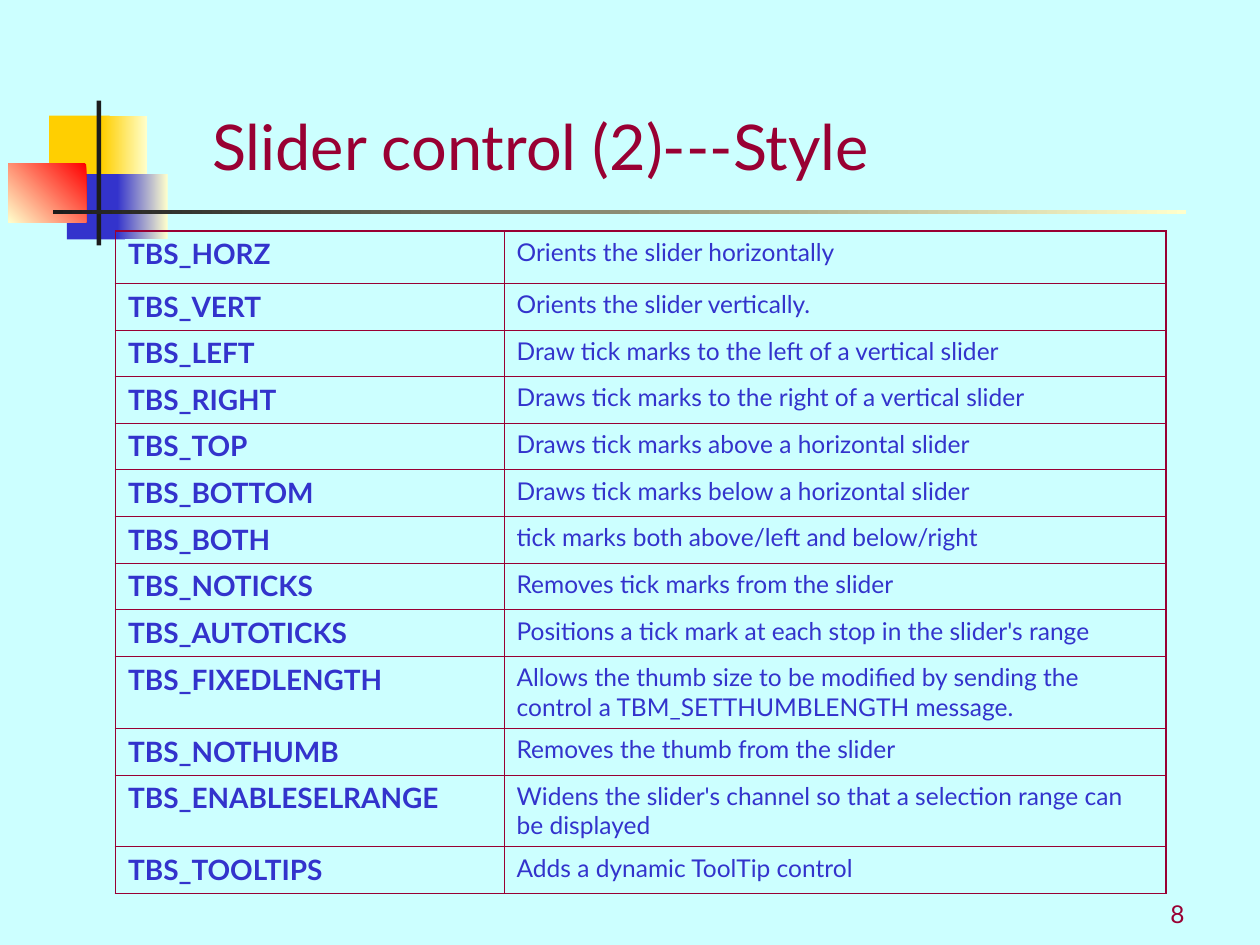
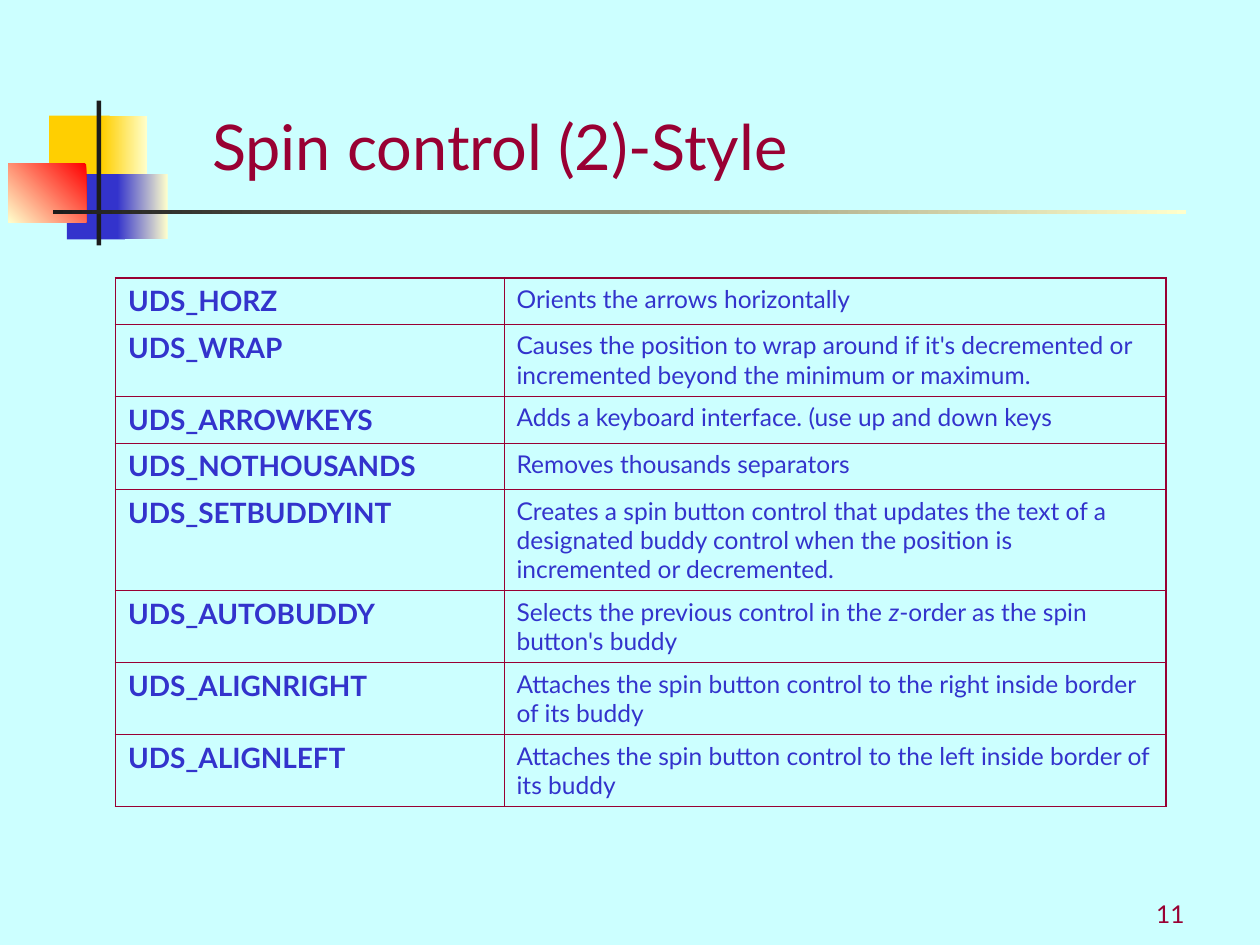
import pptx
import pptx.dml.color
import pptx.enum.shapes
import pptx.enum.text
import pptx.oxml
import pptx.oxml.ns
import pptx.util

Cm = pptx.util.Cm
Pt = pptx.util.Pt
RGBColor = pptx.dml.color.RGBColor
Anchor = pptx.enum.text.MSO_ANCHOR

SKY = RGBColor(0xCC, 0xFF, 0xFF)
CREAM = RGBColor(0xFF, 0xFF, 0xCC)
GOLD = RGBColor(0xFF, 0xCF, 0x01)
BLUE = RGBColor(0x33, 0x33, 0xCC)
RED = RGBColor(0xFF, 0x00, 0x00)
INK = RGBColor(0x1C, 0x1C, 0x1C)
MAROON = RGBColor(0x99, 0x00, 0x33)

FONT = "Lato"
THIN, THICK = Pt(0.45), Pt(1.08)
TITLE_ONLY = 5

# Left, top, width, height in cm; one colour, or gradient start and end; angle
ORNAMENTS = [
    ((0.99, 2.33, 1.22, 1.32), (GOLD,), 0),
    ((2.06, 2.33, 0.91, 1.32), (CREAM, GOLD), 180),
    ((1.35, 3.51, 1.17, 1.32), (BLUE,), 0),
    ((2.36, 3.51, 1.02, 1.32), (CREAM, BLUE), 180),
    ((0.17, 3.3, 1.57, 1.18), (RED, CREAM), 225),
    ((1.95, 2.03, 0.09, 2.92), (INK,), 0),
    ((1.06, 4.23, 22.86, 0.09), (CREAM, INK), 180),
]

TABLE_LEFT = 2.33
COLUMN_WIDTHS = (7.83, 13.34)
ONE_LINE, TWO_LINES, THREE_LINES = 0.94, 1.45, 2.04

# Style name, description (asterisks mark italics), row height in cm
SLIDER_STYLES = [
    ("TBS_HORZ", "Orients the slider horizontally", 1.05),
    ("TBS_VERT", "Orients the slider vertically.", ONE_LINE),
    ("TBS_LEFT", "Draw tick marks to the left of a vertical slider", ONE_LINE),
    ("TBS_RIGHT", "Draws tick marks to the right of a vertical slider", ONE_LINE),
    ("TBS_TOP", "Draws tick marks above a horizontal slider", ONE_LINE),
    ("TBS_BOTTOM", "Draws tick marks below a horizontal slider", ONE_LINE),
    ("TBS_BOTH", "tick marks both above/left and below/right", ONE_LINE),
    ("TBS_NOTICKS", "Removes tick marks from the slider", ONE_LINE),
    ("TBS_AUTOTICKS", "Positions a tick mark at each stop in the slider's range", ONE_LINE),
    ("TBS_FIXEDLENGTH", "Allows the thumb size to be modified by sending the "
     "control a TBM_SETTHUMBLENGTH message.", TWO_LINES),
    ("TBS_NOTHUMB", "Removes the thumb from the slider", ONE_LINE),
    ("TBS_ENABLESELRANGE", "Widens the slider's channel so that a selection range "
     "can be displayed", TWO_LINES),
    ("TBS_TOOLTIPS", "Adds a dynamic ToolTip control", ONE_LINE),
]
SPIN_STYLES = [
    ("UDS_HORZ", "Orients the arrows horizontally", ONE_LINE),
    ("UDS_WRAP", "Causes the position to wrap around if it's decremented or "
     "incremented beyond the minimum or maximum.", TWO_LINES),
    ("UDS_ARROWKEYS", "Adds a keyboard interface. (use up and down keys", ONE_LINE),
    ("UDS_NOTHOUSANDS", "Removes thousands separators", ONE_LINE),
    ("UDS_SETBUDDYINT", "Creates a spin button control that updates the text of a "
     "designated buddy control when the position is incremented or decremented.",
     THREE_LINES),
    ("UDS_AUTOBUDDY", "Selects the previous control in the *z*-order as the spin "
     "button's buddy", TWO_LINES),
    ("UDS_ALIGNRIGHT", "Attaches the spin button control to the right inside border "
     "of its buddy", TWO_LINES),
    ("UDS_ALIGNLEFT", "Attaches the spin button control to the left inside border of "
     "its buddy", TWO_LINES),
]


def write(frame, text, size, color, bold=False, align=pptx.enum.text.PP_ALIGN.LEFT):
    """Fill the frame with one paragraph; text between asterisks is italic."""
    frame.word_wrap = True
    para = frame.paragraphs[0]
    para.alignment = align
    para.font.name = FONT
    para.font.size = Pt(size)
    para.font.bold = bold
    para.font.color.rgb = color
    for index, part in enumerate(text.split("*")):
        span = para.add_run()
        span.text = part
        if index % 2:
            span.font.italic = True


def add_ornaments(page):
    for box, colors, angle in ORNAMENTS:
        shape = page.shapes.add_shape(
            pptx.enum.shapes.MSO_SHAPE.RECTANGLE, *map(Cm, box))
        shape.shadow.inherit = False
        shape.line.fill.background()
        if len(colors) == 1:
            shape.fill.solid()
            shape.fill.fore_color.rgb = colors[0]
        else:
            shape.fill.gradient()
            shape.fill.gradient_angle = angle
            for stop, color in zip(shape.fill.gradient_stops, colors):
                stop.color.rgb = color


def set_title(page, text, width):
    title = page.shapes.title
    title.left, title.top, title.width, title.height = map(Cm, (4.02, 1.69, width, 2.12))
    frame = title.text_frame
    frame.auto_size = pptx.enum.text.MSO_AUTO_SIZE.NONE
    frame.vertical_anchor = Anchor.BOTTOM
    write(frame, text, 36, MAROON)


def add_page_number(page, number):
    box = page.shapes.add_textbox(Cm(18.84), Cm(17.57), Cm(5.29), Cm(1.27))
    box.text_frame.vertical_anchor = Anchor.BOTTOM
    write(box.text_frame, str(number), 14, MAROON, align=pptx.enum.text.PP_ALIGN.RIGHT)


def set_borders(cell, **widths):
    """Draw the cell's sides; must come before the cell's fill is set."""
    properties = cell._tc.get_or_add_tcPr()
    for side, width in widths.items():
        properties.append(pptx.oxml.parse_xml(
            f'<a:ln{side} {pptx.oxml.ns.nsdecls("a")} w="{width}">'
            f'<a:solidFill><a:srgbClr val="{MAROON}"/></a:solidFill></a:ln{side}>'))


def add_style_table(page, styles, top):
    heights = [Cm(height) for _, _, height in styles]
    table = page.shapes.add_table(
        len(styles), 2, Cm(TABLE_LEFT), Cm(top), Cm(sum(COLUMN_WIDTHS)), sum(heights)).table
    table.first_row = table.horz_banding = False
    for column, width in zip(table.columns, COLUMN_WIDTHS):
        column.width = Cm(width)
    for row, (name, description, _) in enumerate(styles):
        table.rows[row].height = heights[row]
        for column, text in enumerate((name, description)):
            is_name = column == 0
            cell = table.cell(row, column)
            set_borders(cell,
                        L=THICK if is_name else THIN,
                        R=THIN if is_name else THICK,
                        T=THICK if row == 0 else THIN,
                        B=THICK if row == len(styles) - 1 else THIN)
            cell.fill.background()
            write(cell.text_frame, text, 16 if is_name else 14, BLUE, bold=is_name)


def add_style_page(deck, title, title_width, styles, table_top, number):
    page = deck.slides.add_slide(deck.slide_layouts[TITLE_ONLY])
    add_ornaments(page)
    set_title(page, title, title_width)
    add_style_table(page, styles, table_top)
    add_page_number(page, number)


def main():
    deck = pptx.Presentation()
    deck.slide_width, deck.slide_height = Cm(25.4), Cm(19.05)
    background = deck.slide_master.background.fill
    background.solid()
    background.fore_color.rgb = SKY
    add_style_page(deck, "Slider control (2)---Style", 20.53, SLIDER_STYLES, 4.66, 8)
    add_style_page(deck, "Spin control (2)-Style", 16.51, SPIN_STYLES, 5.6, 11)
    deck.save("out.pptx")


if __name__ == "__main__":
    main()
